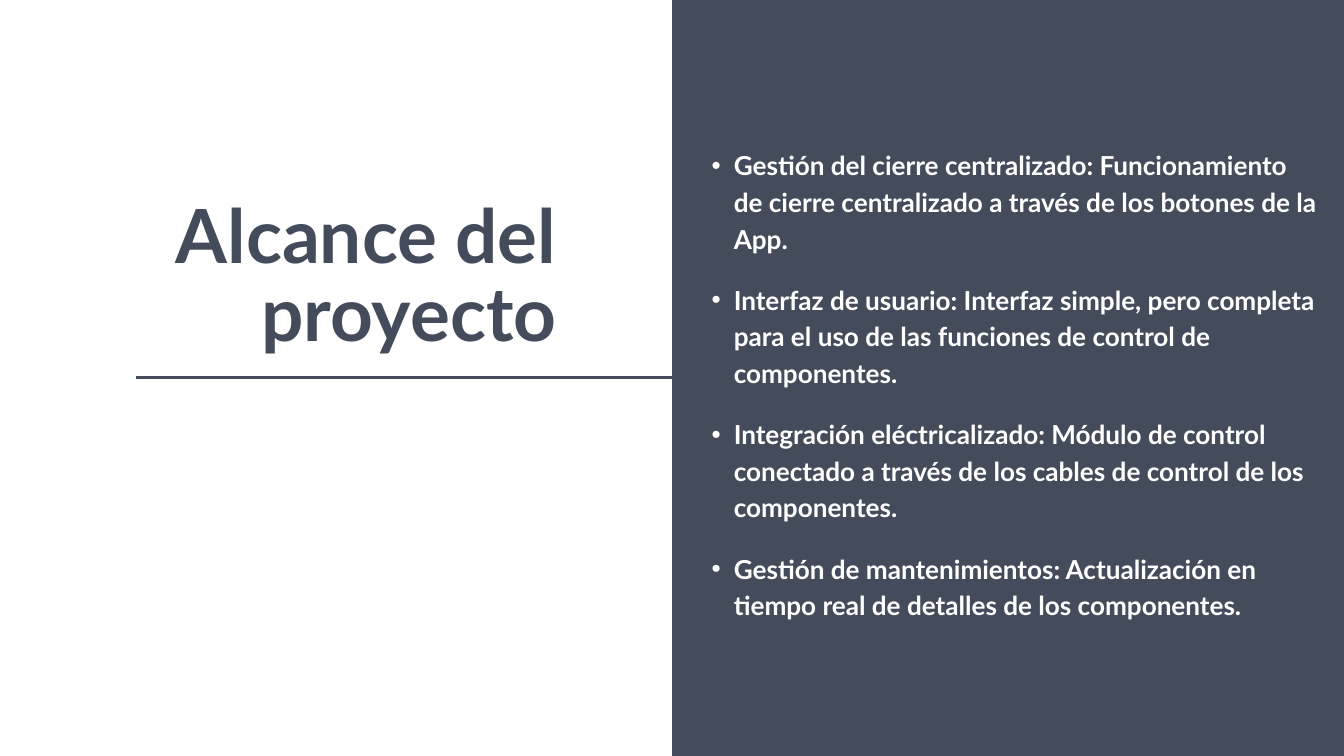
from dataclasses import dataclass

from lxml import etree
from pptx import Presentation
from pptx import util as u
from pptx.dml.color import RGBColor
from pptx.enum import shapes, text
from pptx.oxml import ns


@dataclass(frozen=True)
class Theme:
    slate: RGBColor = RGBColor(0x44, 0x4C, 0x5C)
    white: RGBColor = RGBColor(0xFF, 0xFF, 0xFF)
    font: str = "Lato"
    title: int = 80
    body: int = 28
    title_leading: float = 83.2
    body_leading: float = 39.2
    rule: int = 3


class SlideBuilder:
    def __init__(self, s, theme):
        self.s = s
        self.theme = theme
        s.background.fill.solid()
        s.background.fill.fore_color.rgb = theme.white

    def panel(self, x, y, w, h):
        sp = self.s.shapes.add_shape(
            shapes.MSO_SHAPE.RECTANGLE, *map(u.Inches, (x, y, w, h)))
        sp.shadow.inherit = False
        sp.fill.solid()
        sp.fill.fore_color.rgb = self.theme.slate
        sp.line.fill.background()

    def rule(self, x1, y1, x2, y2):
        line = self.s.shapes.add_connector(
            shapes.MSO_CONNECTOR.STRAIGHT, *map(u.Inches, (x1, y1, x2, y2)))
        line.line.color.rgb = self.theme.slate
        line.line.width = u.Pt(self.theme.rule)
        etree.SubElement(line._element.spPr, ns.qn("a:effectLst"))

    def text(self, words, x, y, w, h, size, leading, color):
        sp = self.s.shapes.add_textbox(*map(u.Inches, (x, y, w, h)))
        tf = sp.text_frame
        tf.word_wrap = True
        tf.margin_left = tf.margin_right = tf.margin_top = tf.margin_bottom = 0
        tf.text = words
        p = tf.paragraphs[0]
        p.line_spacing = u.Pt(leading)
        r = p.runs[0]
        r.font.name = self.theme.font
        r.font.size = u.Pt(size)
        r.font.bold = True
        r.font.color.rgb = color
        return p

    def title(self, words, x, y, w, h):
        t = self.theme
        p = self.text(words, x, y, w, h, t.title, t.title_leading, t.slate)
        p.alignment = text.PP_ALIGN.RIGHT

    def bullet(self, words, x, y, w, h):
        t = self.theme
        p = self.text(words, x, y, w, h, t.body, t.body_leading, t.white)
        p.level = 1
        pPr = p._p.get_or_add_pPr()
        pPr.set("marL", str(u.Inches(0.66)))
        pPr.set("indent", str(u.Inches(-0.33)))
        etree.SubElement(pPr, ns.qn("a:buFont"), typeface="Arial")
        etree.SubElement(pPr, ns.qn("a:buChar"), char="•")


SCOPE = [
    "Gestión del cierre centralizado: Funcionamiento de cierre centralizado "
    "a través de los botones de la App.",
    "Interfaz de usuario: Interfaz simple, pero completa para el uso de las "
    "funciones de control de componentes.",
    "Integración eléctricalizado: Módulo de control conectado a través de los "
    "cables de control de los componentes.",
    "Gestión de mantenimientos: Actualización en tiempo real de detalles de "
    "los componentes.",
]


def main():
    prs = Presentation()
    prs.slide_width = u.Inches(20)
    prs.slide_height = u.Inches(11.25)
    slide = SlideBuilder(prs.slides.add_slide(prs.slide_layouts[6]), Theme())

    slide.panel(10, 0, 10.28, 11.25)
    slide.title("Alcance del proyecto", 2.03, 2.99, 6.25, 2.35)
    for i, item in enumerate(SCOPE):
        slide.bullet(item, 10.26, 2.15 + 2 * i, 9.35, 1.62)
    slide.rule(2.03, 5.62, 10, 5.62)

    prs.save("out.pptx")


if __name__ == "__main__":
    main()
